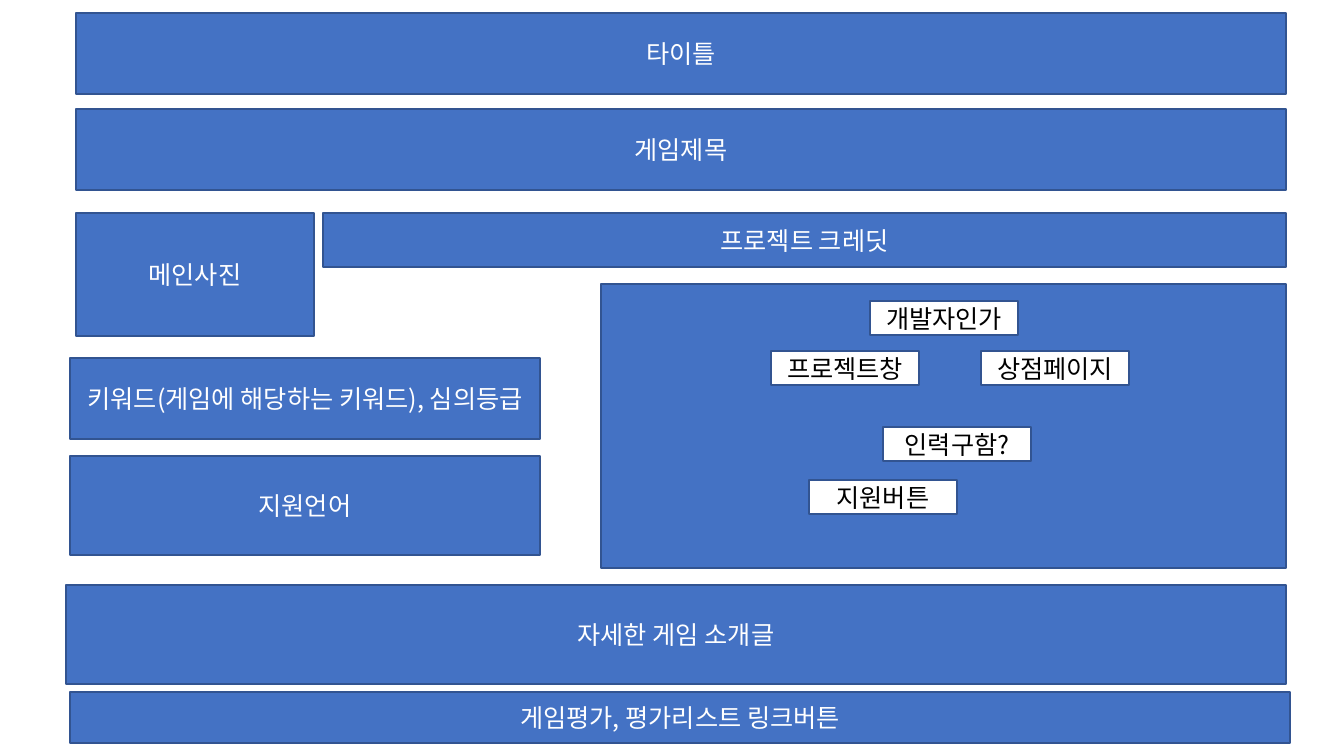
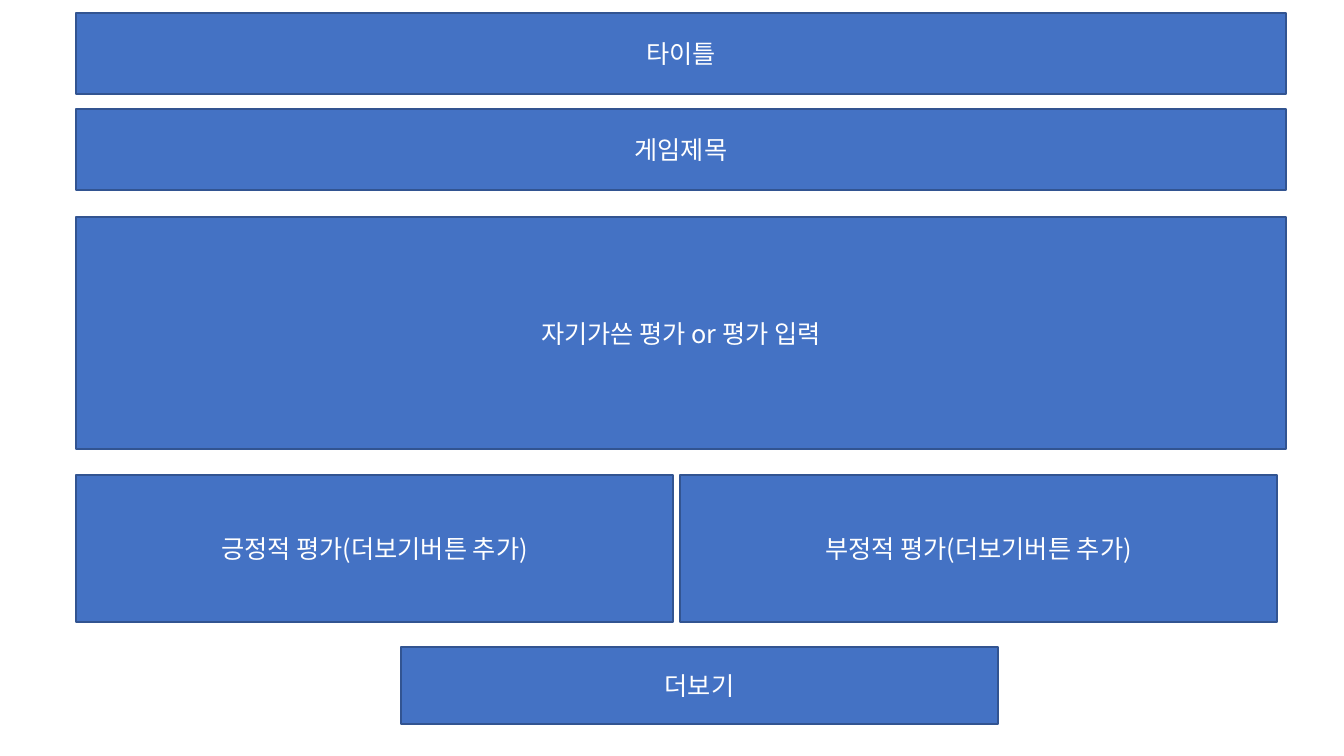
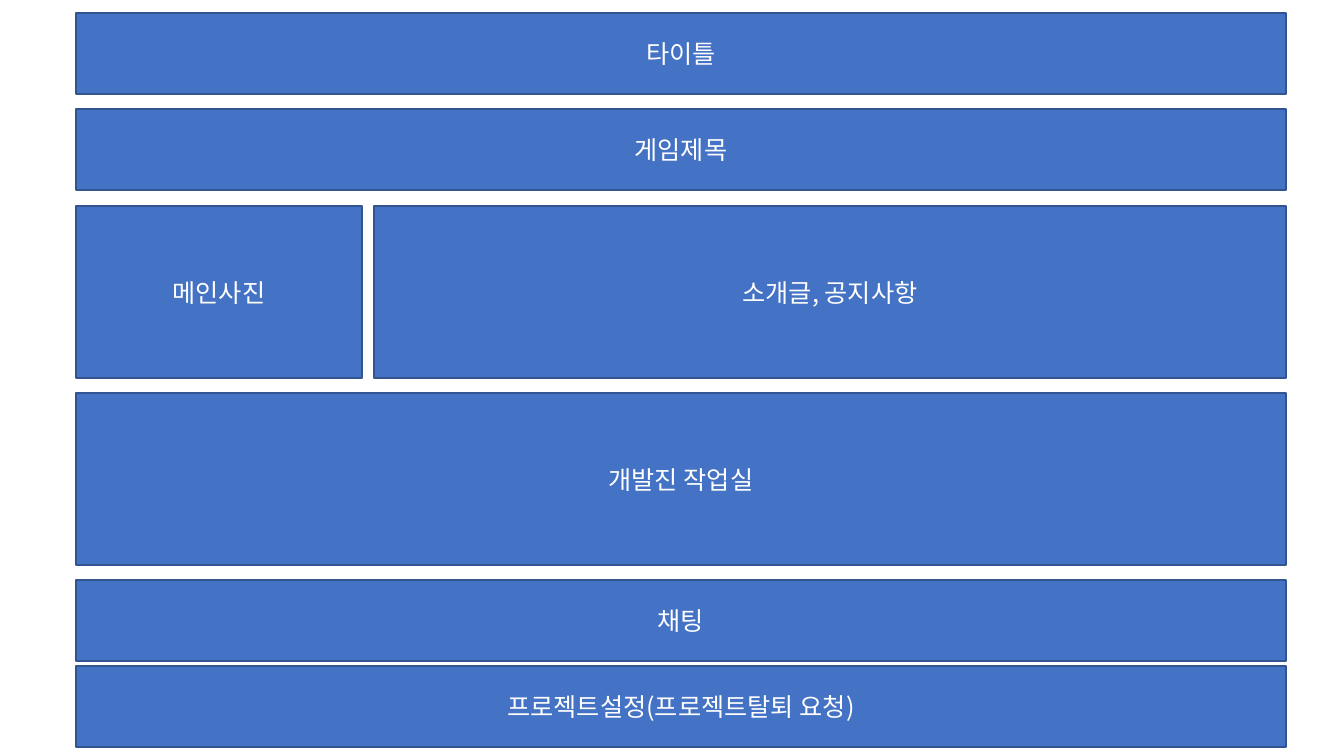
from lxml import etree
from pptx import Presentation
from pptx.dml.color import RGBColor
from pptx.enum.shapes import MSO_SHAPE
from pptx.enum.text import MSO_ANCHOR, MSO_AUTO_SIZE, PP_ALIGN
from pptx.oxml.ns import qn
from pptx.util import Emu, Pt

RECT = MSO_SHAPE.RECTANGLE
MIDDLE = MSO_ANCHOR.MIDDLE
CENTER = PP_ALIGN.CENTER
NO_FIT = MSO_AUTO_SIZE.NONE

COLORS = {"block": "4472C4", "edge": "325491", "white": "FFFFFF", "black": "000000"}
FONT = "Noto Sans CJK KR"
SLIDE_W, SLIDE_H = 1344, 756
SCALE = 12192000 / SLIDE_W

# Shared page frame, in pixels
LEFT, WIDTH = 76, 1210
RIGHT = LEFT + WIDTH
BAND_H = 81
TITLE_TOP, GAME_TOP = 13, 109


def write(sp, text, *, size=18, color="white"):
    """Set centred text in a shape with its size and colour."""
    tf = sp.text_frame
    tf.word_wrap = True
    tf.auto_size = NO_FIT
    tf.vertical_anchor = MIDDLE
    p = tf.paragraphs[0]
    p.alignment = CENTER
    r = p.add_run()
    r.text = text
    r.font.size = Pt(size)
    r.font.color.rgb = RGBColor.from_string(COLORS[color])
    r.font.name = FONT
    etree.SubElement(r.font._element, qn("a:ea"), typeface=FONT)


def block(s, text, x, y, w, h, *, fill="block", color="white", sp=None):
    """Draw an outlined box, or give that look to the placeholder sp."""
    x, y, w, h = (Emu(round(v * SCALE)) for v in (x, y, w, h))
    if sp is None:
        sp = s.shapes.add_shape(RECT, x, y, w, h)
        sp.shadow.inherit = False
    else:
        sp.left, sp.top, sp.width, sp.height = x, y, w, h
    sp.fill.solid()
    sp.fill.fore_color.rgb = RGBColor.from_string(COLORS[fill])
    sp.line.color.rgb = RGBColor.from_string(COLORS["edge"])
    sp.line.width = Pt(1)
    if text:
        write(sp, text, color=color)


prs = Presentation()
prs.slide_width = Emu(round(SLIDE_W * SCALE))
prs.slide_height = Emu(round(SLIDE_H * SCALE))
title_only = prs.slide_layouts[5]

# Game page
SIDE_X, SIDE_W = 70, 470
PANEL_X = 601
CREDIT_X = 323
game_page = [
    ("메인사진", LEFT, 213, 238, 123),
    ("프로젝트 크레딧", CREDIT_X, 213, RIGHT - CREDIT_X, 54),
    ("", PANEL_X, 284, RIGHT - PANEL_X, 284),
    ("키워드(게임에 해당하는 키워드), 심의등급", SIDE_X, 358, SIDE_W, BAND_H),
    ("지원언어", SIDE_X, 456, SIDE_W, 99),
    ("자세한 게임 소개글", 66, 585, 1220, 99),
    ("게임평가, 평가리스트 링크버튼", SIDE_X, 692, 1220, 51),
]
BUTTON_W, BUTTON_H = 148, 34
panel_buttons = [
    ("개발자인가", 870, 301),
    ("프로젝트창", 771, 351),
    ("상점페이지", 981, 351),
    ("인력구함?", 883, 427),
    ("지원버튼", 809, 480),
]

# Review page
HALF_W = 597
review_page = [
    ("자기가쓴 평가 or 평가 입력", LEFT, 217, WIDTH, 232),
    ("긍정적 평가(더보기버튼 추가)", LEFT, 475, HALF_W, 147),
    ("부정적 평가(더보기버튼 추가)", 680, 475, HALF_W, 147),
    ("더보기", 401, 647, HALF_W, 77),
]

# Project page
ROW_H = 172
NOTICE_X = 374
project_page = [
    ("메인사진", LEFT, 206, 286, ROW_H),
    ("소개글, 공지사항", NOTICE_X, 206, RIGHT - NOTICE_X, ROW_H),
    ("개발진 작업실", LEFT, 393, WIDTH, ROW_H),
    ("채팅", LEFT, 580, WIDTH, BAND_H),
    ("프로젝트설정(프로젝트탈퇴 요청)", LEFT, 666, WIDTH, BAND_H),
]

pages = [(game_page, panel_buttons), (review_page, []), (project_page, [])]
for blocks, buttons in pages:
    s = prs.slides.add_slide(title_only)
    block(s, "타이틀", LEFT, TITLE_TOP, WIDTH, BAND_H, sp=s.shapes.title)
    block(s, "게임제목", LEFT, GAME_TOP, WIDTH, BAND_H)
    for text, x, y, w, h in blocks:
        block(s, text, x, y, w, h)
    for text, x, y in buttons:
        block(s, text, x, y, BUTTON_W, BUTTON_H, fill="white", color="black")

prs.save("out.pptx")
